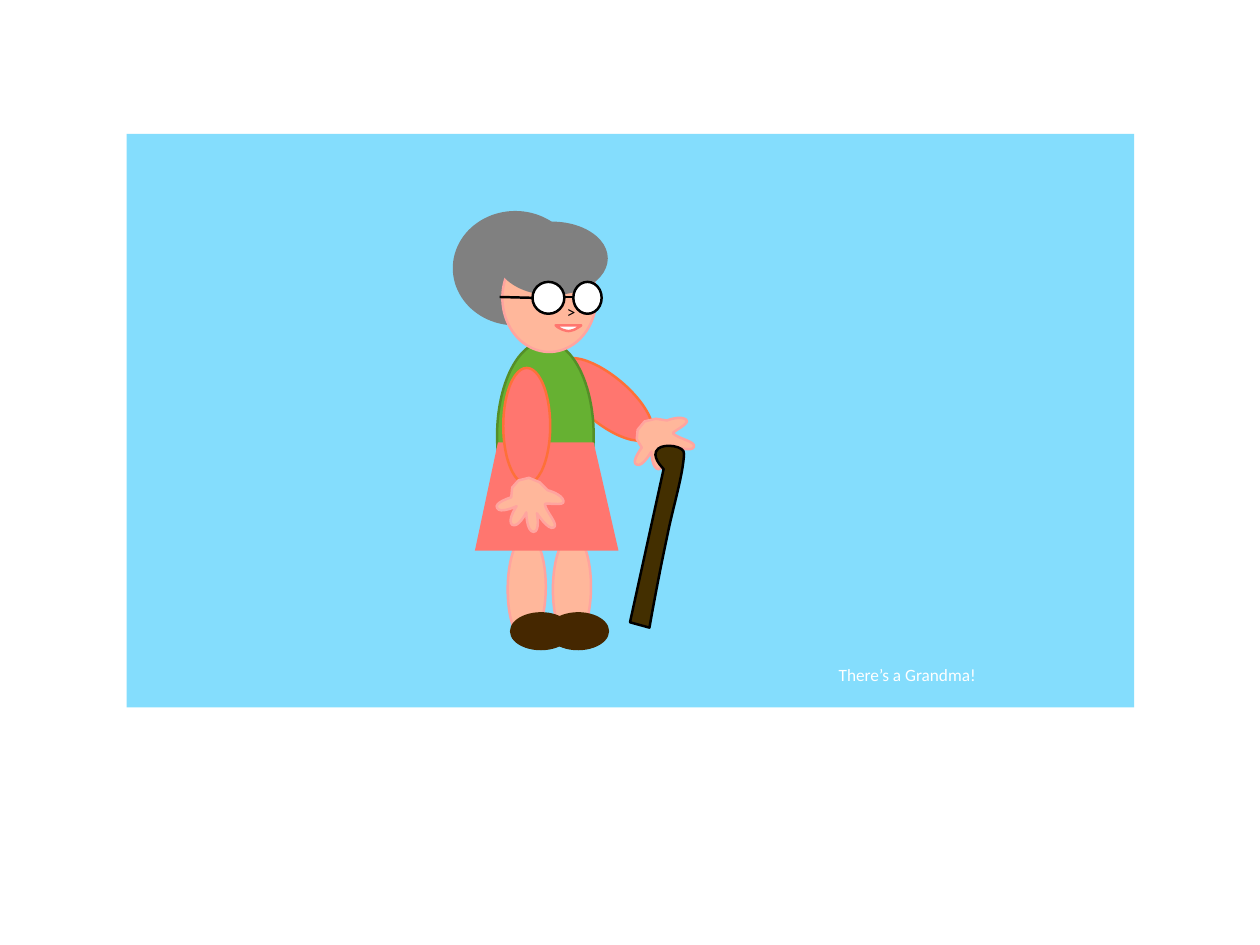
from math import cos, radians, sin

from lxml.etree import SubElement
from pptx import Presentation
from pptx.dml.color import RGBColor
from pptx.enum.shapes import MSO_CONNECTOR, MSO_SHAPE
from pptx.enum.text import MSO_ANCHOR, PP_ALIGN
from pptx.oxml.ns import qn
from pptx.util import Inches, Pt

SKY = RGBColor(0x84, 0xDD, 0xFD)
WHITE = RGBColor(0xFF, 0xFF, 0xFF)
BLACK = RGBColor(0x00, 0x00, 0x00)
CORAL = RGBColor(0xFF, 0x76, 0x6F)
ORANGE = RGBColor(0xFE, 0x70, 0x38)
SKIN = RGBColor(0xFF, 0xB7, 0x9B)
PINK = RGBColor(0xFF, 0xA4, 0x9F)
WOOD = RGBColor(0x43, 0x2F, 0x00)
GRAY = RGBColor(0x80, 0x80, 0x80)
GREEN = RGBColor(0x66, 0xB1, 0x32)
DARK_GREEN = RGBColor(0x55, 0x8E, 0x28)
SHOE = RGBColor(0x45, 0x27, 0x00)

CAPTION = "There’s a Grandma!"
NOSE = ">"
FONT = "Calibri"
FONT_SIZE = Pt(14)
OUTLINE_WIDTH = Pt(2)

SLIDE_SIZE = (14.22, 10.66)
SKY_BOX = (1.43, 1.51, 11.37, 6.47)
CAPTION_BOX = (8.33, 7.45, 3.82, 0.33)
NOSE_BOX = (6.39, 3.4, 0.11, 0.23)

HAND = [
    (-0.18, 0.22),
    (-0.11, 0.26, -0.02, 0.08, -0.02, 0.08),
    (-0.02, 0.08, -0.02, 0.29, 0.06, 0.3),
    (0.14, 0.3, 0.1, 0.09, 0.1, 0.09),
    (0.1, 0.09, 0.23, 0.29, 0.29, 0.25),
    (0.35, 0.22, 0.2, 0.07, 0.19, -0.01),
    (0.18, -0.04, 0.42, 0.02, 0.4, -0.05),
    (0.38, -0.13, 0.22, -0.17, 0.22, -0.17),
    (0.13, -0.26), (0.01, -0.31), (-0.11, -0.28), (-0.18, -0.2), (-0.19, -0.09),
    (-0.19, -0.09, -0.39, -0.03, -0.35, 0.03),
    (-0.32, 0.1, -0.13, 0.01, -0.13, 0.01),
    (-0.13, 0.01, -0.24, 0.17, -0.18, 0.22),
]
CANE = [
    (7.49, 5.29),
    (7.49, 5.29, 7.33, 5.14, 7.43, 5.06),
    (7.5, 5, 7.73, 5.03, 7.72, 5.12),
    (7.71, 5.36, 7.59, 5.74, 7.53, 6.05),
    (7.41, 6.61, 7.33, 7.08, 7.33, 7.08),
    (7.11, 7.02), (7.49, 5.29),
]
SKIRT = [(5.62, 4.99), (6.7, 4.99), (6.98, 6.21), (5.36, 6.21), (5.62, 4.99)]
MOUTH = [
    (6.27, 3.67), (6.56, 3.67),
    (6.56, 3.67, 6.54, 3.69, 6.48, 3.72),
    (6.41, 3.74, 6.42, 3.74, 6.35, 3.72),
    (6.28, 3.69, 6.27, 3.67, 6.27, 3.67),
]


def style(shape, fill, line):
    shape.shadow.inherit = False
    shape.fill.solid()
    shape.fill.fore_color.rgb = fill
    if line is None:
        shape.line.fill.background()
    else:
        shape.line.color.rgb = line
        shape.line.width = OUTLINE_WIDTH


def add_oval(shapes, box, fill, line=None, rotation=0):
    oval = shapes.add_shape(MSO_SHAPE.OVAL, *map(Inches, box))
    oval.rotation = rotation
    style(oval, fill, line)


def bend_curves(shape, outline):
    edges = iter(list(shape.element.iter(qn("a:lnTo"))))
    for segment in outline[1:]:
        edge = next(edges)
        if len(segment) == 6:
            curve = edge.makeelement(qn("a:cubicBezTo"))
            edge.addprevious(curve)
            for part in (edge, next(edges), next(edges)):
                curve.append(part[0])
                part.getparent().remove(part)


def add_outline(shapes, outline, fill, line=None, center=(0, 0), rotation=0):
    cosine, sine = cos(radians(rotation)), sin(radians(rotation))
    points = [
        (Inches(center[0] + x * cosine - y * sine), Inches(center[1] + x * sine + y * cosine))
        for segment in outline
        for x, y in zip(segment[::2], segment[1::2])
    ]
    builder = shapes.build_freeform(*points[0])
    builder.add_line_segments(points[1:], close=True)
    shape = builder.convert_to_shape()
    bend_curves(shape, outline)
    style(shape, fill, line)


def add_wire(shapes, start, end):
    wire = shapes.add_connector(MSO_CONNECTOR.STRAIGHT, *map(Inches, start + end))
    wire.line.color.rgb = BLACK
    wire.line.width = OUTLINE_WIDTH
    SubElement(wire.element.spPr, qn("a:effectLst"))


def set_text(shape, text, color, wrap):
    frame = shape.text_frame
    frame.text = text
    frame.word_wrap = wrap
    frame.vertical_anchor = MSO_ANCHOR.MIDDLE
    frame.margin_left = frame.margin_right = frame.margin_top = frame.margin_bottom = 0
    paragraph = frame.paragraphs[0]
    paragraph.alignment = PP_ALIGN.CENTER
    paragraph.font.name = FONT
    paragraph.font.size = FONT_SIZE
    paragraph.font.color.rgb = color


def add_grandma(shapes):
    add_oval(shapes, (6.57, 3.85, 0.53, 1.31), CORAL, ORANGE, 309.9)
    add_outline(shapes, HAND, SKIN, PINK, (7.45, 5.01), -36)
    add_outline(shapes, CANE, WOOD, BLACK)
    add_oval(shapes, (5.11, 2.38, 1.41, 1.29), GRAY)
    for left in (6.24, 5.73):
        add_oval(shapes, (left, 6.03, 0.43, 1.21), SKIN, PINK, 0.6)
    add_oval(shapes, (5.61, 3.85, 1.09, 2.13), GREEN, DARK_GREEN)
    add_outline(shapes, SKIRT, CORAL)
    add_oval(shapes, (5.67, 2.75, 1.06, 1.22), SKIN, PINK)
    add_oval(shapes, (5.68, 4.15, 0.53, 1.31), CORAL, ORANGE)
    add_oval(shapes, (5.6, 2.5, 1.26, 0.83), GRAY)
    for left, width in ((6.47, 0.32), (6.01, 0.36)):
        add_oval(shapes, (left, 3.18, width, 0.36), WHITE, BLACK)
    add_wire(shapes, (5.64, 3.35), (6.02, 3.36))
    add_wire(shapes, (6.37, 3.35), (6.48, 3.35))
    for left in (5.89, 6.31):
        add_oval(shapes, (left, 6.77, 0.43, 0.7), SHOE, rotation=269.8)
    set_text(shapes.add_textbox(*map(Inches, NOSE_BOX)), NOSE, BLACK, False)
    add_outline(shapes, MOUTH, WHITE, CORAL)
    add_outline(shapes, HAND, SKIN, PINK, (5.96, 5.7))


def main():
    presentation = Presentation()
    presentation.slide_width, presentation.slide_height = map(Inches, SLIDE_SIZE)
    slide = presentation.slides.add_slide(presentation.slide_layouts[5])

    title = slide.shapes.title
    title.left, title.top, title.width, title.height = map(Inches, CAPTION_BOX)
    set_text(title, CAPTION, WHITE, True)

    sky = slide.shapes.add_shape(MSO_SHAPE.RECTANGLE, *map(Inches, SKY_BOX))
    style(sky, SKY, None)
    title.element.addprevious(sky.element)

    add_grandma(slide.shapes.add_group_shape().shapes)
    presentation.save("out.pptx")


if __name__ == "__main__":
    main()
